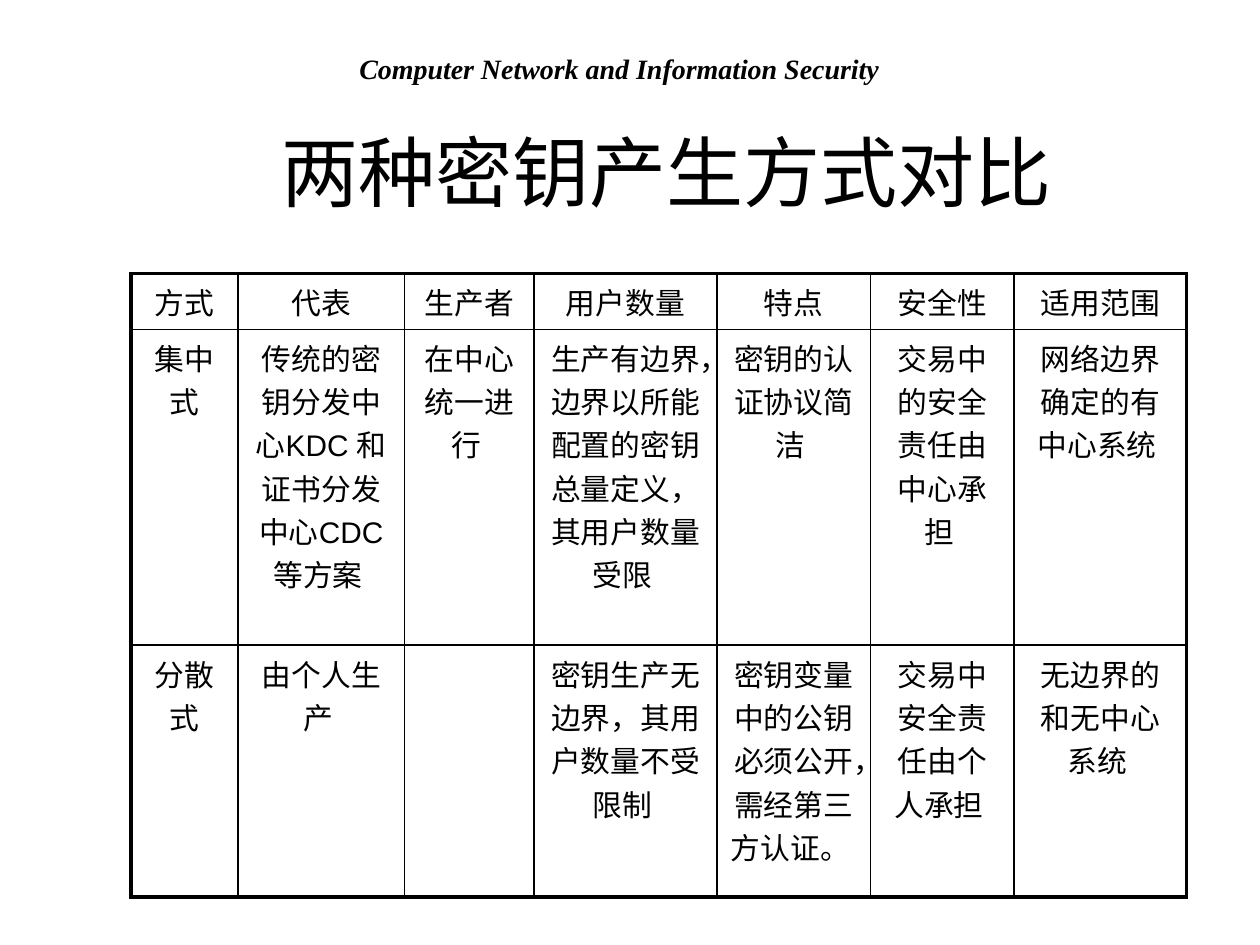
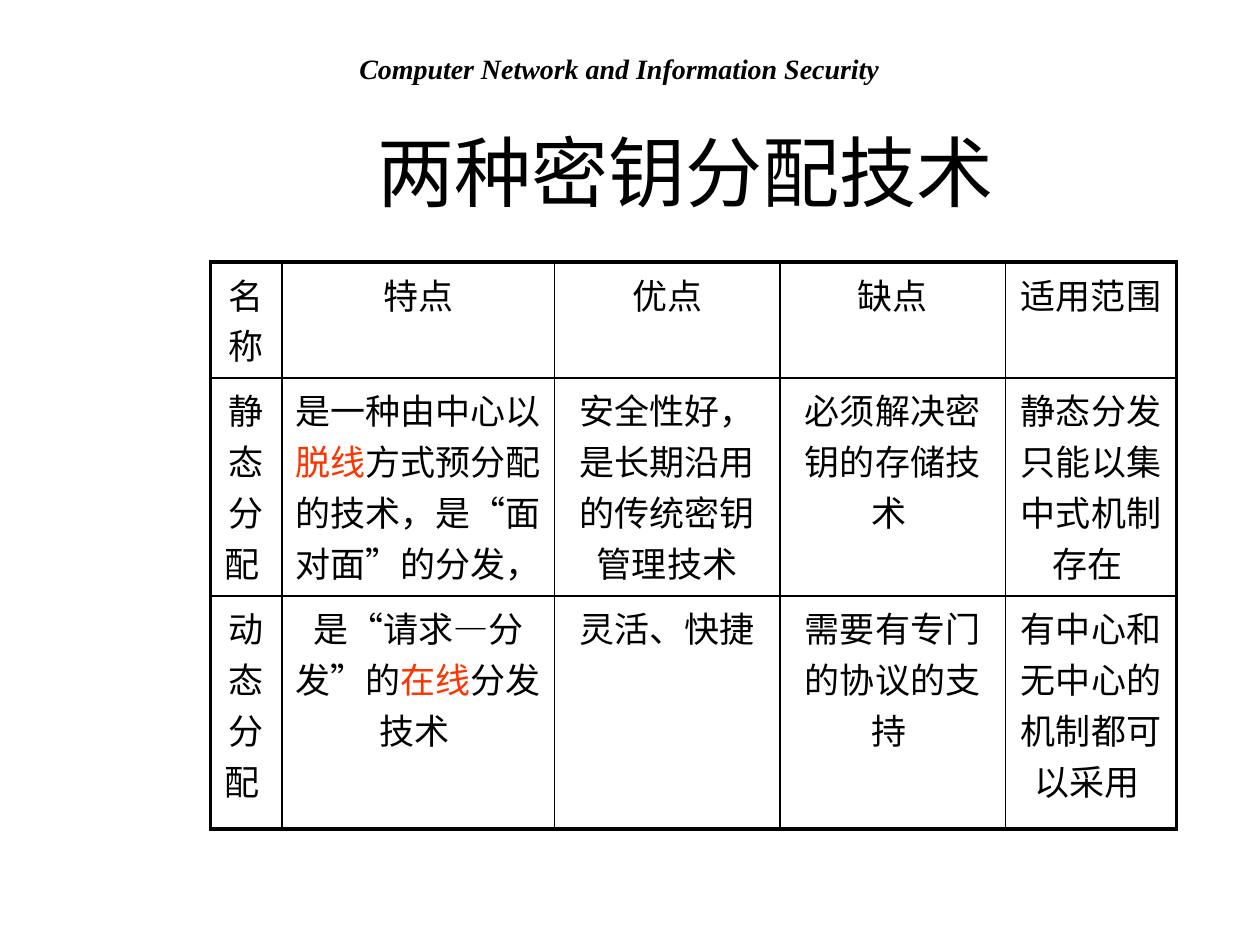
from dataclasses import dataclass
from lxml import etree
from pptx import Presentation
from pptx.dml.color import RGBColor as Rgb
from pptx.enum.lang import MSO_LANGUAGE_ID as Lang
from pptx.enum.shapes import MSO_SHAPE as Shape
from pptx.enum.text import MSO_ANCHOR as Anchor, PP_ALIGN as Align
from pptx.oxml.ns import qn
from pptx.util import Inches, Pt


@dataclass(frozen=True)
class Theme:
    ink: str = "000000"
    paper: str = "FFFFFF"
    mark: str = "FF3300"
    sans: str = "Arial"
    serif: str = "Times New Roman"
    asian: str = "Noto Sans CJK SC"
    title: int = 44
    band: int = 16
    thin: float = 1
    thick: float = 2.25


look = Theme()


def write(frame, text, size, font=look.sans, bold=False, italic=False,
          lang=Lang.SIMPLIFIED_CHINESE):
    """Centre the text in the frame; parts between bars take the mark colour."""
    frame.word_wrap = True
    para = frame.paragraphs[0]
    para.alignment = Align.CENTER
    para._p.get_or_add_pPr().set("hangingPunct", "1")
    para.font.size = Pt(size)
    for i, part in enumerate(text.split("|")):
        if not part:
            continue
        run = para.add_run()
        run.text = part
        face = run.font
        face.size, face.name = Pt(size), font
        face.bold, face.italic = bold, italic
        face.language_id = lang
        face.color.rgb = Rgb.from_string(look.mark if i % 2 else look.ink)
        asian = etree.SubElement(run._r.get_or_add_rPr(), qn("a:ea"))
        asian.set("typeface", look.asian)


def edge(cell, side, width):
    """Draw one cell border; call in the order L, R, T, B, before any fill."""
    line = etree.SubElement(cell._tc.get_or_add_tcPr(), qn(f"a:ln{side}"))
    line.set("w", str(Pt(width)))
    fill = etree.SubElement(line, qn("a:solidFill"))
    etree.SubElement(fill, qn("a:srgbClr")).set("val", look.ink)


pages = [
    dict(
        title="两种密钥产生方式对比", left=1.46, spot=(1.04, 2.17), size=17,
        cols=[0.85, 1.32, 1.03, 1.45, 1.22, 1.14, 1.37],
        rows=[0.38, 2.12, 2],
        cells=[
            ["方式", "代表", "生产者", "用户数量", "特点", "安全性", "适用范围"],
            ["集中式", "传统的密钥分发中心KDC 和证书分发中心CDC 等方案 ",
             "在中心统一进行 ",
             "生产有边界，边界以所能配置的密钥总量定义，其用户数量受限 ",
             "密钥的认证协议简洁 ", "交易中的安全责任由中心承担 ",
             "网络边界确定的有中心系统 "],
            ["分散式", "由个人生产 ", "", "密钥生产无边界，其用户数量不受限制 ",
             "密钥变量中的公钥必须公开，需经第三方认证。 ",
             "交易中安全责任由个人承担 ", "无边界的和无中心系统 "],
        ],
    ),
    dict(
        title="两种密钥分配技术", left=1.61, spot=(1.67, 2.08), size=20,
        cols=[0.57, 2.16, 1.79, 1.79, 1.36],
        rows=[0.92, 1.73, 1.85],
        cells=[
            ["名称", "特点", "优点", "缺点", "适用范围"],
            ["静态分配 ", "是一种由中心以|脱线|方式预分配的技术，是“面对面”的分发，",
             "安全性好，是长期沿用的传统密钥管理技术", "必须解决密钥的存储技术 ",
             "静态分发只能以集中式机制存在 "],
            ["动态分配 ", "是“请求—分发”的|在线|分发技术 ", "灵活、快捷",
             "需要有专门的协议的支持 ", "有中心和无中心的机制都可以采用 "],
        ],
    ),
]

deck = Presentation()
deck.slide_width, deck.slide_height = Inches(10), Inches(7.5)

for page in pages:
    slide = deck.slides.add_slide(deck.slide_layouts[5])

    band = slide.shapes.add_shape(Shape.RECTANGLE, Inches(1.61), Inches(0.36),
                                  Inches(6.61), Inches(0.37))
    band.shadow.inherit = False
    band.fill.solid()
    band.fill.fore_color.rgb = Rgb.from_string(look.paper)
    band.line.fill.background()
    band.text_frame.vertical_anchor = Anchor.MIDDLE
    write(band.text_frame, "Computer Network and Information Security", look.band,
          font=look.serif, bold=True, italic=True, lang=Lang.ENGLISH_US)

    title = slide.shapes.title
    title.left, title.top = Inches(page["left"]), Inches(0.52)
    title.width, title.height = Inches(7.67), Inches(1.67)
    title.text_frame.vertical_anchor = Anchor.MIDDLE
    write(title.text_frame, page["title"], look.title)

    cols, rows = page["cols"], page["rows"]
    left, top = page["spot"]
    grid = slide.shapes.add_table(len(rows), len(cols), Inches(left), Inches(top),
                                  Inches(sum(cols)), Inches(sum(rows))).table
    grid.first_row = grid.horz_banding = False
    for col, width in zip(grid.columns, cols):
        col.width = Inches(width)
    for row, height in zip(grid.rows, rows):
        row.height = Inches(height)

    for r, line in enumerate(page["cells"]):
        for c, text in enumerate(line):
            cell = grid.cell(r, c)
            write(cell.text_frame, text, page["size"])
            outer = {"L": c == 0, "R": c == len(cols) - 1,
                     "T": r == 0, "B": r == len(rows) - 1}
            for side, rim in outer.items():
                edge(cell, side, look.thick if rim else look.thin)
            cell.fill.background()

deck.save("out.pptx")
